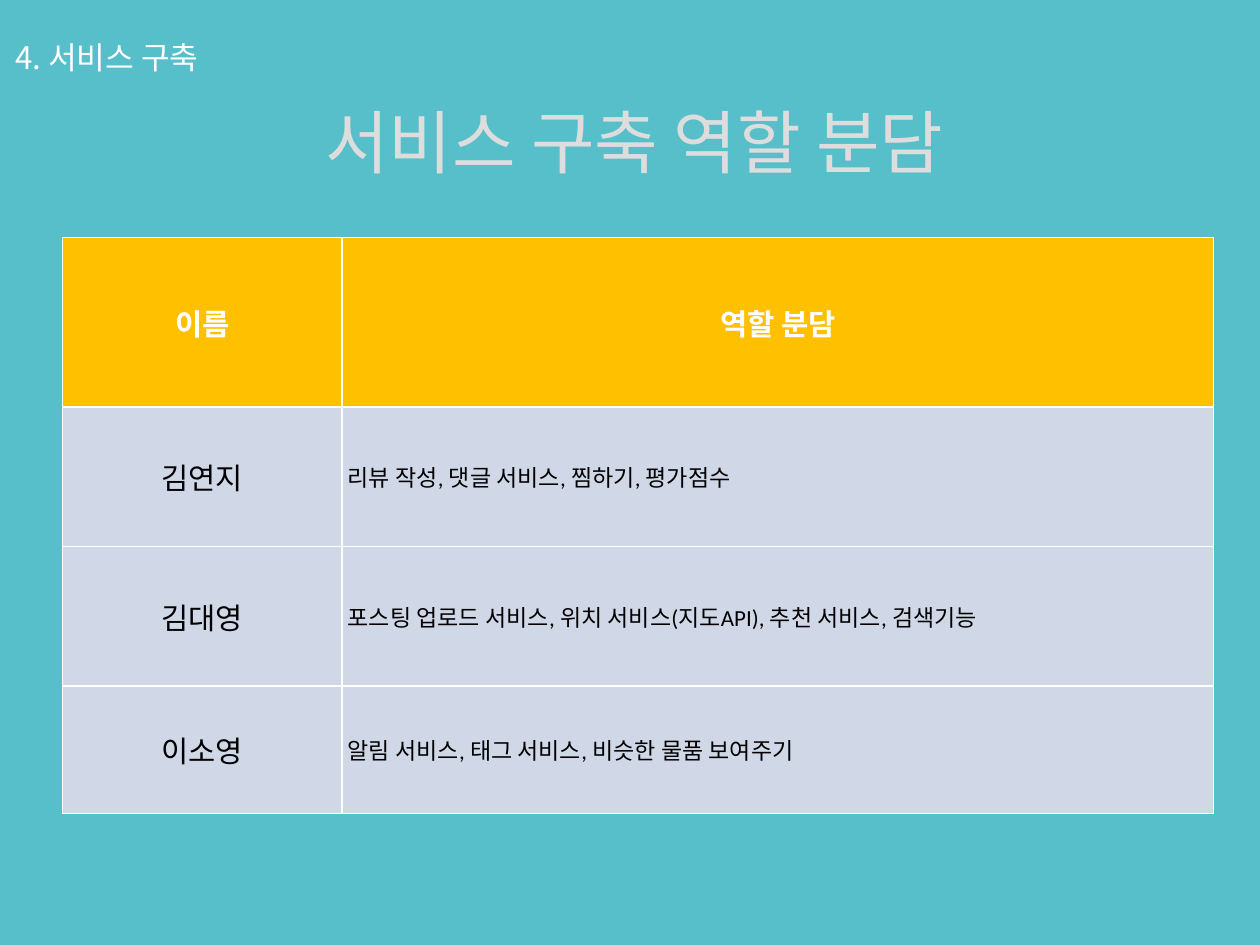
from typing import NamedTuple

import pptx
import pptx.dml.color
import pptx.enum.text
import pptx.oxml
import pptx.oxml.ns
import pptx.util
from pptx.util import Inches

KOREAN_FONT = "Noto Sans CJK KR"
BACKGROUND = "57BFC9"
WHITE = "FFFFFF"
ALIGN = pptx.enum.text.PP_ALIGN


class Style(NamedTuple):
    size: int
    color: str
    font: str = KOREAN_FONT
    bold: bool = False
    align: ALIGN = ALIGN.LEFT


class Heading(NamedTuple):
    text: str
    left: float
    top: float
    width: float
    height: float
    line_points: int
    style: Style


class Assignment(NamedTuple):
    member: str
    duties: str
    height: float


HEADINGS = [
    Heading("서비스 구축 역할 분담", 2.75, 0.9, 6.71, 0.69, 46, Style(42, "DDDDDD")),
    Heading("4. 서비스 구축", 0.13, -0.07, 1.58, 0.65, 51,
            Style(19, WHITE, align=ALIGN.JUSTIFY)),
]
ASSIGNMENTS = [
    Assignment("이름", "역할 분담", 1.43),
    Assignment("김연지", "리뷰 작성, 댓글 서비스, 찜하기, 평가점수", 1.18),
    Assignment("김대영", "포스팅 업로드 서비스, 위치 서비스(지도API), 추천 서비스, 검색기능", 1.18),
    Assignment("이소영", "알림 서비스, 태그 서비스, 비슷한 물품 보여주기", 1.08),
]
COLUMN_WIDTHS = [2.36, 7.37]
HEADER_STYLE = Style(18, WHITE, "Calibri", True, ALIGN.CENTER)
MEMBER_STYLE = Style(18, "000000", "Calibri", False, ALIGN.CENTER)
DUTIES_STYLE = Style(14, "000000", "Calibri")


def rgb(value: str) -> pptx.dml.color.RGBColor:
    return pptx.dml.color.RGBColor.from_string(value)


def write(paragraph, text: str, style: Style) -> None:
    paragraph.alignment = style.align
    run = paragraph.add_run()
    run.text = text
    run.font.size = pptx.util.Pt(style.size)
    run.font.bold = style.bold
    run.font.color.rgb = rgb(style.color)
    run.font.name = style.font
    east_asian = pptx.oxml.parse_xml(
        f'<a:ea {pptx.oxml.ns.nsdecls("a")} typeface="{KOREAN_FONT}"/>')
    run.font._element.append(east_asian)


def draw_heading(slide, heading: Heading) -> None:
    box = slide.shapes.add_textbox(
        Inches(heading.left), Inches(heading.top),
        Inches(heading.width), Inches(heading.height))
    frame = box.text_frame
    frame.word_wrap = True
    frame.auto_size = pptx.enum.text.MSO_AUTO_SIZE.SHAPE_TO_FIT_TEXT
    frame.margin_left = frame.margin_right = 0
    frame.margin_top = frame.margin_bottom = 0
    paragraph = frame.paragraphs[0]
    paragraph.line_spacing = pptx.util.Pt(heading.line_points)
    write(paragraph, heading.text, heading.style)


def add_borders(cell, color: str) -> None:
    properties = cell._tc.get_or_add_tcPr()
    for position, side in enumerate(("lnL", "lnR", "lnT", "lnB")):
        border = pptx.oxml.parse_xml(
            f'<a:{side} {pptx.oxml.ns.nsdecls("a")} w="{pptx.util.Pt(1)}">'
            f'<a:solidFill><a:srgbClr val="{color}"/></a:solidFill></a:{side}>')
        properties.insert(position, border)


def draw_cell(cell, text: str, fill: str, style: Style) -> None:
    cell.fill.solid()
    cell.fill.fore_color.rgb = rgb(fill)
    cell.vertical_anchor = pptx.enum.text.MSO_ANCHOR.MIDDLE
    cell.margin_left = cell.margin_right = Inches(0.05)
    cell.margin_top = cell.margin_bottom = Inches(0.05)
    add_borders(cell, WHITE)
    write(cell.text_frame.paragraphs[0], text, style)


def draw_assignments(slide) -> None:
    roles = slide.shapes.add_table(
        len(ASSIGNMENTS), len(COLUMN_WIDTHS), Inches(0.53), Inches(2.01),
        Inches(sum(COLUMN_WIDTHS)), Inches(sum(a.height for a in ASSIGNMENTS))).table
    for column, width in zip(roles.columns, COLUMN_WIDTHS):
        column.width = Inches(width)
    for index, assignment in enumerate(ASSIGNMENTS):
        roles.rows[index].height = Inches(assignment.height)
        is_header = index == 0
        fill = "FFC000" if is_header else "D0D8E8"
        styles = [HEADER_STYLE] * 2 if is_header else [MEMBER_STYLE, DUTIES_STYLE]
        texts = (assignment.member, assignment.duties)
        for column, (text, style) in enumerate(zip(texts, styles)):
            draw_cell(roles.cell(index, column), text, fill, style)


def main() -> None:
    presentation = pptx.Presentation()
    presentation.slide_width = Inches(10.65)
    presentation.slide_height = Inches(7.99)
    slide = presentation.slides.add_slide(presentation.slide_layouts[6])
    slide.background.fill.solid()
    slide.background.fill.fore_color.rgb = rgb(BACKGROUND)
    draw_assignments(slide)
    for heading in HEADINGS:
        draw_heading(slide, heading)
    presentation.save("out.pptx")


if __name__ == "__main__":
    main()
